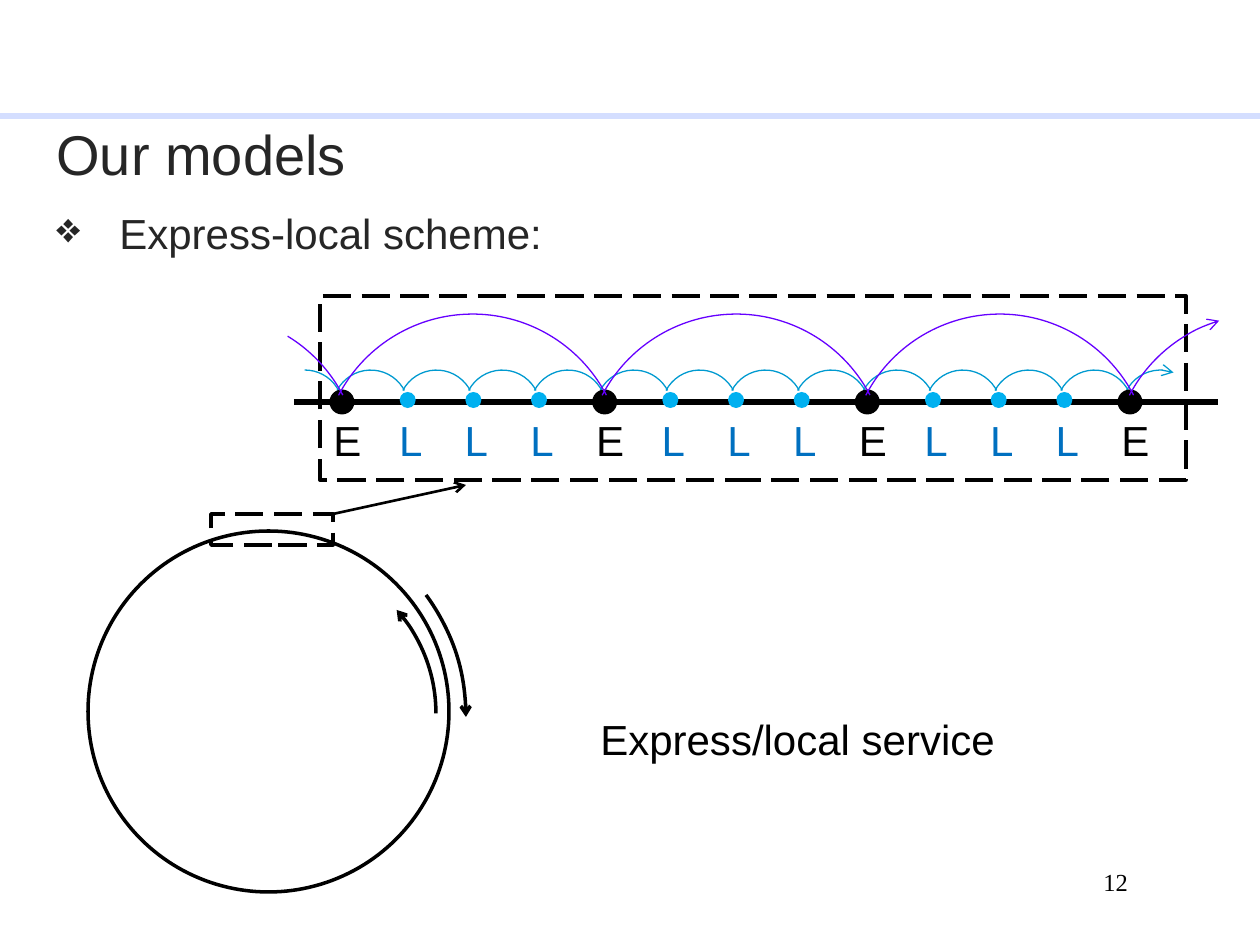
from lxml import etree
from pptx import Presentation
from pptx import util as u
from pptx.dml.color import RGBColor
from pptx.enum import dml, shapes, text
from pptx.oxml.ns import qn

BLACK, DARK, RULE = "000000", "262626", "D4DEFF"
LOCAL_ARC, LOCAL_DOT, LOCAL_TEXT, EXPRESS_ARC = "009AD0", "00B0F0", "0070C0", "6600FF"

TITLE, BULLET = "Our models", "Express-local scheme:"
CAPTION, PAGE = "Express/local service", "12"
STATIONS = "ELLLELLLELLLE"
STATION_STYLE = {  # dot size, dot centre y, dot colour, label width, label colour
    "E": (25, 402, BLACK, 54, BLACK),
    "L": (16, 400, LOCAL_DOT, 49, LOCAL_TEXT),
}
FIRST_X, STATION_GAP = 342, 65.67
# left, top, size, step, count, first start angle, last end angle, colour
ARC_ROWS = {
    "local": (267, 370, 76, 65.8, 14, 332.2, 352.9, LOCAL_ARC),
    "express": (58, 314, 302, 263.6, 5, 3.9, 315.5, EXPRESS_ARC),
}
ARC_START, ARC_END, ARC_TILT = 270, 34.9, 297.5


def px(v):
    return u.Emu(round(v * 914400 / 126))


def rgb(value):
    return RGBColor.from_string(value)


def add_arrow(sp, end):
    """Put an open arrowhead on the headEnd or tailEnd of a line."""
    ln = sp.line._get_or_add_ln()
    etree.SubElement(ln, qn("a:" + end)).set("type", "arrow")


def add_shape(s, kind, x, y, w, h, fill=None, line=None, width=2, dashed=False):
    sp = s.shapes.add_shape(kind, px(x), px(y), px(w), px(h))
    sp.shadow.inherit = False
    if fill:
        sp.fill.solid()
        sp.fill.fore_color.rgb = rgb(fill)
    else:
        sp.fill.background()
    if line:
        sp.line.color.rgb = rgb(line)
        sp.line.width = u.Pt(width)
    else:
        sp.line.fill.background()
    if dashed:
        sp.line.dash_style = dml.MSO_LINE.LONG_DASH
    return sp


def add_arc(s, x, y, w, h, start, end, color, width, tilt=0, arrow=None):
    """Add an arc running clockwise between two angles in degrees."""
    sp = add_shape(s, shapes.MSO_SHAPE.ARC, x, y, w, h, line=color, width=width)
    sp.adjustments[0], sp.adjustments[1] = start * 0.6, end * 0.6
    sp.rotation = tilt
    if arrow:
        add_arrow(sp, arrow)


def add_arc_row(s, left, top, size, step, count, first_start, last_end, color):
    last = count - 1
    for i in range(count):
        add_arc(s, left + i * step, top, size, size,
                first_start if i == 0 else ARC_START,
                last_end if i == last else ARC_END,
                color, 0.75, ARC_TILT, "tailEnd" if i == last else None)


def add_line(s, x1, y1, x2, y2, color, width):
    cn = s.shapes.add_connector(shapes.MSO_CONNECTOR.STRAIGHT, px(x1), px(y1), px(x2), px(y2))
    cn.line.color.rgb = rgb(color)
    cn.line.width = u.Pt(width)
    return cn


def remove_shadow(cn):
    etree.SubElement(cn._element.spPr, qn("a:effectLst"))


def style(p, size, color, font="Arial"):
    for r in p.runs:
        r.font.size, r.font.name = u.Pt(size), font
        r.font.color.rgb = rgb(color)


def add_text(s, x, y, w, h, words, size, color, font="Arial", wrap=True):
    tf = s.shapes.add_textbox(px(x), px(y), px(w), px(h)).text_frame
    tf.word_wrap = wrap
    tf.text = words
    style(tf.paragraphs[0], size, color, font)
    return tf


def add_body(s):
    tf = add_text(s, 44, 113, 1191, 735, TITLE, 32, DARK)
    p = tf.add_paragraph()
    p.text = BULLET
    style(p, 24, DARK)
    pPr = p._p.get_or_add_pPr()
    pPr.set("marL", str(px(63)))
    pPr.set("indent", str(-px(63)))
    for p in tf.paragraphs:
        p.space_before = p.space_after = u.Pt(6)
    etree.SubElement(pPr, qn("a:buChar")).set("char", "❖")


def add_loop(s):
    rect, oval = shapes.MSO_SHAPE.RECTANGLE, shapes.MSO_SHAPE.OVAL
    add_shape(s, rect, 320, 296, 866, 184, line=BLACK, dashed=True)
    add_shape(s, oval, 88, 531, 361, 361, line=BLACK)
    add_shape(s, rect, 211, 514, 122, 31, line=BLACK, dashed=True)
    pointer = add_line(s, 333, 514, 466, 485, BLACK, 1.5)
    add_arrow(pointer, "tailEnd")
    remove_shadow(pointer)
    add_arc(s, 73, 515, 393, 404, 322.07, 0, BLACK, 2, arrow="tailEnd")
    add_arc(s, 140, 561, 296, 305, 316.41, 0, BLACK, 2, arrow="headEnd")


def add_track(s):
    add_arc_row(s, *ARC_ROWS["local"])
    remove_shadow(add_line(s, 294, 402, 1218, 402, BLACK, 3))
    for i, name in enumerate(STATIONS):
        size, y, dot, width, color = STATION_STYLE[name]
        x = FIRST_X + i * STATION_GAP
        add_shape(s, shapes.MSO_SHAPE.OVAL, x - size / 2, y - size / 2, size, size, fill=dot)
        tf = add_text(s, x - 21, 408, width, 63, name, 24, color, wrap=False)
        tf.auto_size = text.MSO_AUTO_SIZE.SHAPE_TO_FIT_TEXT
    add_arc_row(s, *ARC_ROWS["express"])


def main():
    prs = Presentation()
    prs.slide_width, prs.slide_height = px(1260), px(945)
    s = prs.slides.add_slide(prs.slide_layouts[6])
    add_text(s, 1091, 861, 134, 66, PAGE, 14, BLACK, "Times New Roman")
    remove_shadow(add_line(s, 0, 116, 1260, 116, RULE, 3.5))
    add_body(s)
    add_loop(s)
    add_track(s)
    tf = add_text(s, 588, 726, 426, 44, CAPTION, 24, BLACK)
    tf.paragraphs[0].line_spacing = u.Pt(18)
    prs.save("out.pptx")


if __name__ == "__main__":
    main()
